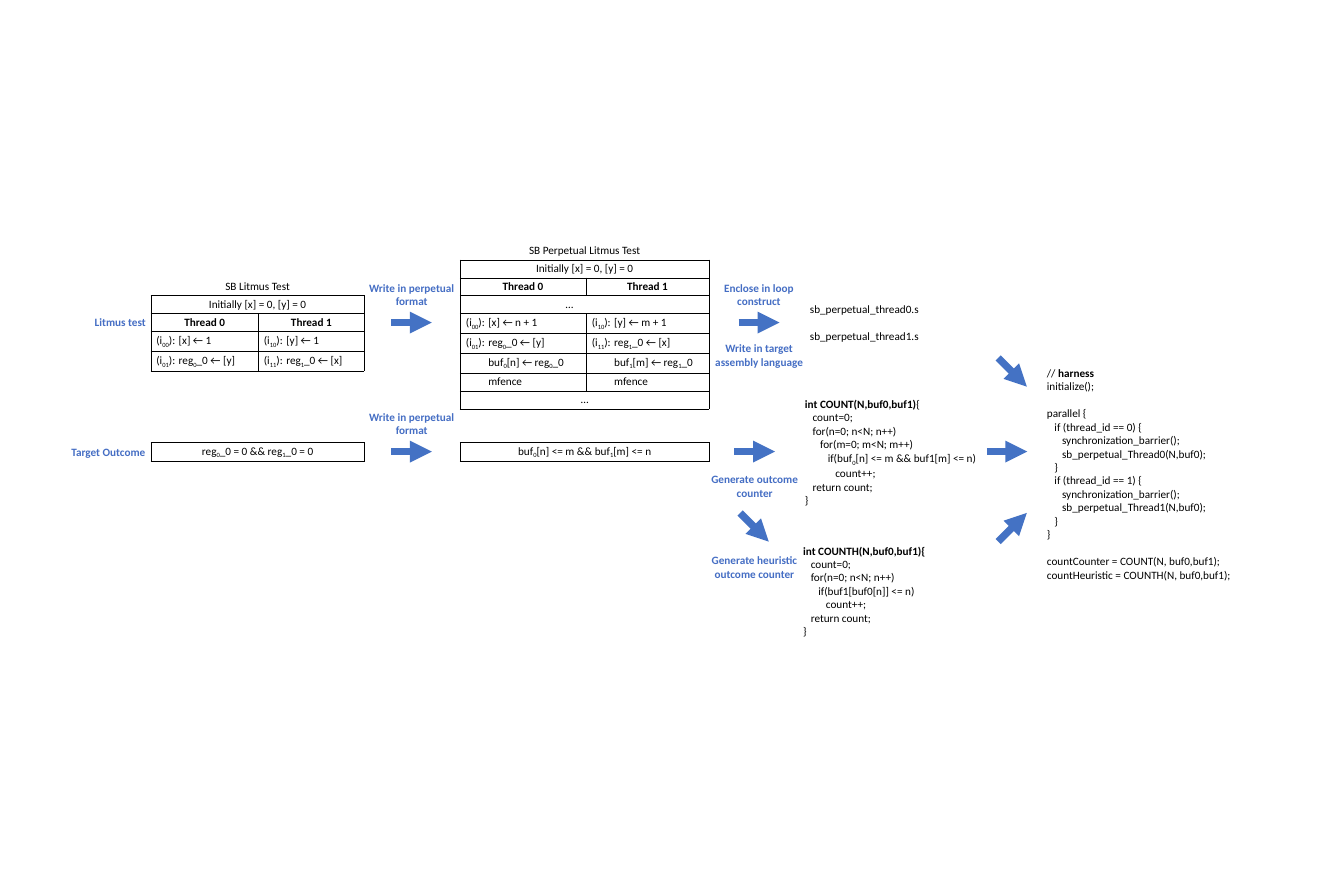
"""Build the slide that turns an SB litmus test into a perpetual test harness."""
from lxml.etree import SubElement
from pptx import Presentation
from pptx.dml.color import RGBColor
from pptx.enum.shapes import MSO_CONNECTOR
from pptx.enum.text import MSO_AUTO_SIZE, PP_ALIGN
from pptx.oxml.ns import qn
from pptx.util import Inches, Pt

BLACK, WHITE, LABEL_BLUE, ARROW_BLUE = "000000", "FFFFFF", "456EC4", "4472C4"
SPACE_WIDTH = 0.0565
LINE_HEIGHT = 22
OPERATION_TAB = 0.67


def rgb(hex_string):
    return RGBColor.from_string(hex_string)


def write(frame, text, align=PP_ALIGN.LEFT, color=BLACK, bold=False):
    """Write lines; *bold*, |subscript|, leading spaces indent, empty lines add space."""
    gap, paragraph = 0, None
    for line in text.split("\n"):
        if not line:
            gap += LINE_HEIGHT
            continue
        paragraph = frame.add_paragraph() if paragraph else frame.paragraphs[0]
        paragraph.alignment = align
        paragraph.space_before = Pt(gap)
        gap = 0
        content = line.lstrip(" ")
        properties = paragraph._p.get_or_add_pPr()
        indent = (len(line) - len(content)) * SPACE_WIDTH
        properties.set("marL", str(Inches(indent)))
        properties.set("indent", "0")
        if "\t" in content:
            stops = SubElement(properties, qn("a:tabLst"))
            SubElement(stops, qn("a:tab"), pos=str(Inches(OPERATION_TAB)), algn="l")
        for i, part in enumerate(content.split("*")):
            for j, piece in enumerate(part.split("|")):
                if piece:
                    run = paragraph.add_run()
                    run.text = piece
                    run.font.name, run.font.size = "Calibri", Pt(18)
                    run.font.bold = bold or i % 2 == 1
                    run.font.color.rgb = rgb(color)
                    if j % 2:
                        run.font._element.set("baseline", "-25000")


prs = Presentation()
prs.slide_width, prs.slide_height = Inches(30), Inches(20)
slide = prs.slides.add_slide(prs.slide_layouts[6])

count_code = """*int COUNT(N,buf0,buf1)*{
   count=0;
   for(n=0; n<N; n++)
      for(m=0; m<N; m++)
         if(buf|0|[n] <= m && buf1[m] <= n)
            count++;
   return count;
}"""
counth_code = """*int COUNTH(N,buf0,buf1){*
   count=0;
   for(n=0; n<N; n++)
      if(buf1[buf0[n]] <= n)
         count++;
   return count;
}"""
harness_code = """// *harness*
initialize();

parallel {
   if (thread_id == 0) {
      synchronization_barrier();
      sb_perpetual_Thread0(N,buf0);
   }
   if (thread_id == 1) {
      synchronization_barrier();
      sb_perpetual_Thread1(N,buf0);
   }
}

countCounter = COUNT(N, buf0,buf1);
countHeuristic = COUNTH(N, buf0,buf1);"""
thread_files = "sb_perpetual_thread0.s\n\nsb_perpetual_thread1.s"

code_blocks = [
    (17.87, 8.82, 4.41, 2.52, count_code),
    (17.83, 12.09, 3.2, 2.22, counth_code),
    (23.27, 8.12, 4.6, 5.25, harness_code),
    (17.98, 6.69, 2.68, 1.01, thread_files),
]
step_labels = [
    (2.01, 7, 1.35, 0.4, "Litmus test"),
    (1.49, 9.88, 1.86, 0.4, "Target Outcome"),
    (8.13, 6.22, 2.12, 0.71, "Write in perpetual\nformat"),
    (8.13, 9.11, 2.12, 0.71, "Write in perpetual\nformat"),
    (16, 6.22, 1.88, 0.71, "Enclose in loop\nconstruct"),
    (15.86, 7.58, 2.17, 0.71, "Write in target\nassembly language"),
    (15.74, 10.5, 2.21, 0.71, "Generate outcome\ncounter"),
    (15.78, 12.31, 2.12, 0.71, "Generate heuristic\noutcome counter"),
]
code_format = {"align": PP_ALIGN.LEFT, "color": BLACK, "bold": False}
label_format = {"align": PP_ALIGN.CENTER, "color": LABEL_BLUE, "bold": True}
for blocks, text_format, wraps in (
    (code_blocks, code_format, True),
    (step_labels, label_format, False),
):
    for *box, text in blocks:
        frame = slide.shapes.add_textbox(*map(Inches, box)).text_frame
        frame.word_wrap = wraps
        frame.auto_size = MSO_AUTO_SIZE.SHAPE_TO_FIT_TEXT
        write(frame, text, **text_format)

litmus_rows = [
    ["SB Litmus Test"],
    ["Initially [x] = 0, [y] = 0"],
    ["*Thread 0*", "*Thread 1*"],
    ["(i|00|):\t[x] ← 1", "(i|10|):\t[y] ← 1"],
    ["(i|01|):\treg|0|_0 ← [y]", "(i|11|):\treg|1|_0 ← [x]"],
]
perpetual_rows = [
    ["SB Perpetual Litmus Test"],
    ["Initially [x] = 0, [y] = 0"],
    ["*Thread 0*", "*Thread 1*"],
    ["…"],
    ["(i|00|):\t[x] ← n + 1", "(i|10|):\t[y] ← m + 1"],
    ["(i|01|):\treg|0|_0 ← [y]", "(i|11|):\treg|1|_0 ← [x]"],
    ["\tbuf|0|[n] ← reg|0|_0", "\tbuf|1|[m] ← reg|1|_0"],
    ["\tmfence", "\tmfence"],
    ["…"],
]
target_rows = [["reg|0|_0 = 0 && reg|1|_0 = 0"]]
perpetual_target_rows = [["buf|0|[n] <= m && buf|1|[m] <= n"]]

for left, top, widths, margin, rows in (
    (3.37, 6.2, [2.4, 2.36], 0.12, litmus_rows),
    (3.37, 9.88, [4.76], 0.1, target_rows),
    (10.27, 9.88, [5.56], 0.1, perpetual_target_rows),
    (10.27, 5.4, [2.81, 2.75], 0.13, perpetual_rows),
):
    table = slide.shapes.add_table(
        len(rows), len(widths), Inches(left), Inches(top),
        Inches(sum(widths)), Inches(0.4 * len(rows)),
    ).table
    table.first_row = table.horz_banding = False
    for column, width in zip(table.columns, widths):
        column.width = Inches(width)
    for r, texts in enumerate(rows):
        if len(texts) < len(widths):
            table.cell(r, 0).merge(table.cell(r, len(widths) - 1))
        is_title = r == 0 and len(rows) > 1
        for c in range(len(widths)):
            cell = table.cell(r, c)
            cell.margin_left = cell.margin_right = Inches(margin)
            cell.margin_top = cell.margin_bottom = Inches(0.05 if len(rows) > 1 else 0.04)
            for side in ("lnL", "lnR", "lnT", "lnB"):
                border = SubElement(cell._tc.get_or_add_tcPr(), qn(f"a:{side}"), w=str(Pt(1)))
                if is_title and side != "lnB":
                    SubElement(border, qn("a:noFill"))
                else:
                    SubElement(SubElement(border, qn("a:solidFill")), qn("a:srgbClr"), val=BLACK)
            cell.fill.solid()
            cell.fill.fore_color.rgb = rgb(WHITE)
            if c < len(texts):
                is_operation = "\t" in texts[c]
                write(cell.text_frame, texts[c], PP_ALIGN.LEFT if is_operation else PP_ALIGN.CENTER)
            if texts == ["…"] and r < len(rows) - 1:
                cell.margin_right = Inches(margin + 12 * SPACE_WIDTH)

for x1, y1, x2, y2 in (
    (8.73, 7.2, 9.64, 7.2),
    (8.73, 10.08, 9.64, 10.08),
    (16.49, 7.2, 17.4, 7.2),
    (16.39, 10.08, 17.3, 10.08),
    (16.52, 11.45, 17.16, 12.09),
    (22.28, 7.99, 22.92, 8.63),
    (22.03, 10.08, 22.93, 10.08),
    (22.28, 12.09, 22.92, 11.45),
):
    arrow = slide.shapes.add_connector(
        MSO_CONNECTOR.STRAIGHT, Inches(x1), Inches(y1), Inches(x2), Inches(y2)
    )
    arrow.line.color.rgb = rgb(ARROW_BLUE)
    arrow.line.width = Pt(11.75)
    SubElement(arrow.line._get_or_add_ln(), qn("a:tailEnd"), type="triangle", w="med", len="med")
    SubElement(arrow._element.spPr, qn("a:effectLst"))

prs.save("out.pptx")
